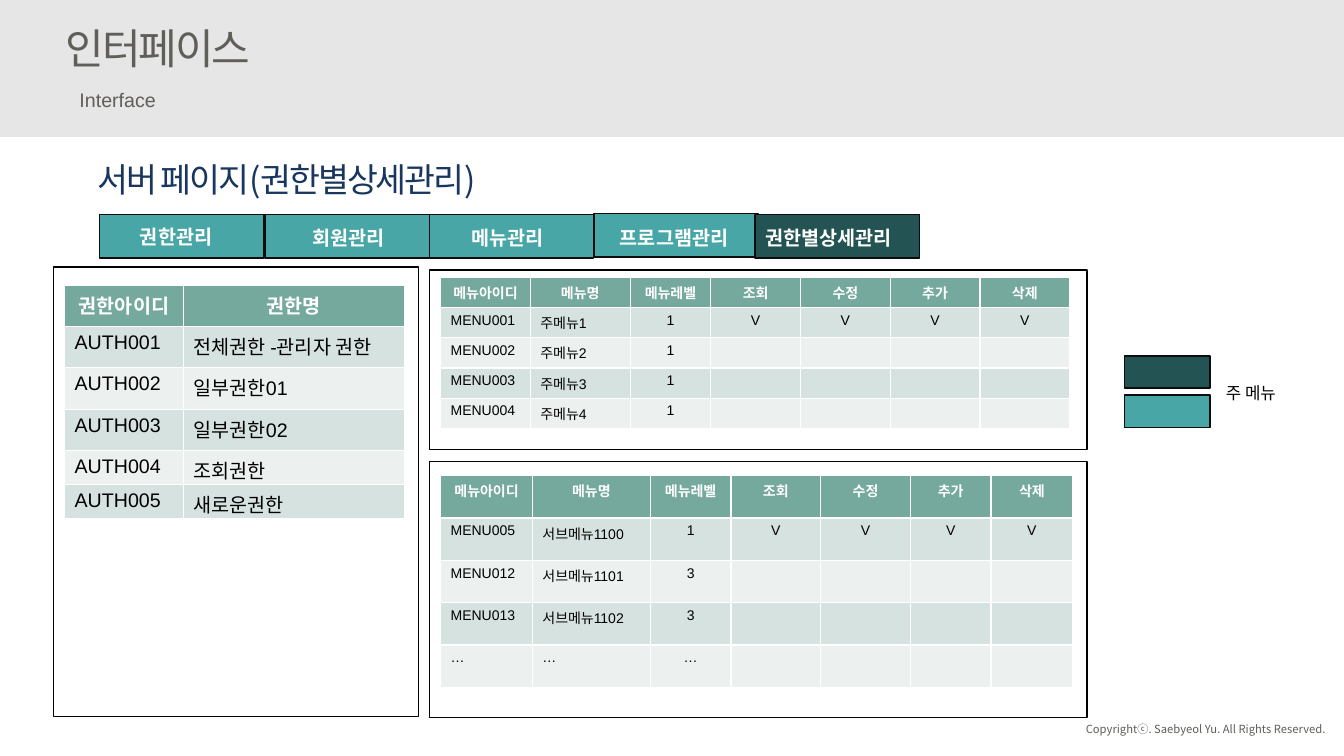
from dataclasses import dataclass

from lxml.etree import SubElement
from pptx import Presentation
from pptx.dml.color import RGBColor
from pptx.enum.shapes import MSO_SHAPE as Shape
from pptx.enum.text import MSO_ANCHOR as Anchor, MSO_AUTO_SIZE as AutoSize, PP_ALIGN as Align
from pptx.oxml.ns import qn
from pptx.util import Pt

PX = 9144


@dataclass(frozen=True)
class Theme:
    latin: str = "Arial"
    korean: str = "Noto Sans CJK KR"
    gray: str = "5F5E58"
    navy: str = "18365E"
    black: str = "000000"
    white: str = "FFFFFF"
    band: str = "E7E6E6"
    teal: str = "49A6A6"
    dark_teal: str = "245353"
    outline: str = "0D0D0D"
    header: str = "75A99E"
    odd_row: str = "D6E2DF"
    even_row: str = "ECF1F0"
    title: int = 30
    heading: int = 24
    medium: int = 14
    legend: int = 12
    small: int = 10
    footer: int = 8


THEME = Theme()

TITLE = "인터페이스"
SUBTITLE = "Interface"
HEADING = "서버 페이지(권한별상세관리)"
COPYRIGHT = "Copyrightⓒ. Saebyeol Yu. All Rights Reserved."
LEGEND = "주 메뉴"

TABS = [
    ("권한관리", (99, 213), (129, 218, 100), THEME.teal),
    ("회원관리", (263, 213), (300, 219, 100), THEME.teal),
    ("메뉴관리", (426, 213), (458, 219, 100), THEME.teal),
    ("프로그램관리", (589, 212), (605, 219, 148), THEME.teal),
    ("권한별상세관리", (749, 213), (749, 219, 173), THEME.dark_teal),
]
SWATCHES = [(353, THEME.dark_teal), (392, THEME.teal)]

MENU_HEAD = ["메뉴아이디", "메뉴명", "메뉴레벨", "조회", "수정", "추가", "삭제"]
GRANTED = ["V"] * 4
DENIED = [""] * 4
TABLES = [
    {
        "panel": (53, 265, 362, 446),
        "at": (64, 283),
        "cols": [118, 219],
        "heights": [41, 41, 41, 41, 34, 34],
        "size": THEME.medium,
        "rows": [
            ["권한아이디", "권한명"],
            ["AUTH001", "전체권한 -관리자 권한"],
            ["AUTH002", "일부권한01"],
            ["AUTH003", "일부권한02"],
            ["AUTH004", "조회권한"],
            ["AUTH005", "새로운권한"],
        ],
    },
    {
        "panel": (426, 268, 652, 178),
        "at": (437, 275),
        "cols": [89, 99, 80, 89, 89, 89, 89],
        "heights": [30] * 5,
        "size": THEME.small,
        "rows": [
            MENU_HEAD,
            ["MENU001", "주메뉴1", "1", *GRANTED],
            ["MENU002", "주메뉴2", "1", *DENIED],
            ["MENU003", "주메뉴3", "1", *DENIED],
            ["MENU004", "주메뉴4", "1", *DENIED],
        ],
    },
    {
        "panel": (426, 458, 652, 254),
        "at": (437, 472),
        "cols": [91, 117, 80, 89, 89, 80, 81],
        "heights": [42] * 5,
        "size": THEME.small,
        "rows": [
            MENU_HEAD,
            ["MENU005", "서브메뉴1100", "1", *GRANTED],
            ["MENU012", "서브메뉴1101", "3", *DENIED],
            ["MENU013", "서브메뉴1102", "3", *DENIED],
            ["…", "…", "…", *DENIED],
        ],
    },
]


def emu(*lengths):
    return [length * PX for length in lengths]


def write(frame, text, size, color, bold=False, font=THEME.latin, align=Align.LEFT, spacing=0):
    frame.text = text
    line = frame.paragraphs[0]
    line.alignment = align
    for run in line.runs:
        run.font.size = Pt(size)
        run.font.bold = bold
        run.font.color.rgb = RGBColor.from_string(color)
        run.font.name = font
        props = run.font._rPr
        SubElement(props, qn("a:ea")).set("typeface", THEME.korean)
        if spacing:
            props.set("spc", str(spacing))
    if not text:
        SubElement(line._p, qn("a:endParaRPr")).set("sz", str(size * 100))


def add_label(slide, at, text, size, color, wrap=True, **style):
    frame = slide.shapes.add_textbox(*emu(*at)).text_frame
    frame.word_wrap = wrap
    frame.vertical_anchor = Anchor.MIDDLE
    write(frame, text, size, color, **style)


def add_box(slide, at, fill=None, line=None):
    box = slide.shapes.add_shape(Shape.RECTANGLE, *emu(*at))
    box.shadow.inherit = False
    if fill:
        box.fill.solid()
        box.fill.fore_color.rgb = RGBColor.from_string(fill)
    else:
        box.fill.background()
    if line:
        box.line.color.rgb = RGBColor.from_string(line)
        box.line.width = Pt(1)
    else:
        box.line.fill.background()
    return box


def add_grid(slide, panel, at, cols, heights, size, rows):
    add_box(slide, panel, line=THEME.black)
    area = emu(*at, sum(cols), sum(heights))
    grid = slide.shapes.add_table(len(rows), len(cols), *area).table
    for column, width in zip(grid.columns, cols):
        column.width = width * PX
    for row, height in zip(grid.rows, heights):
        row.height = height * PX
    for r, row in enumerate(rows):
        head = r == 0
        fill = THEME.header if head else (THEME.even_row, THEME.odd_row)[r % 2]
        for c, text in enumerate(row):
            cell = grid.cell(r, c)
            cell.fill.solid()
            cell.fill.fore_color.rgb = RGBColor.from_string(fill)
            write(cell.text_frame, text, size, THEME.white if head else THEME.black, bold=head,
                  align=Align.CENTER if head or c > 1 else Align.LEFT)


def add_header(slide):
    band = add_box(slide, (0, 0, 1333, 136), fill=THEME.band)
    title = slide.shapes.title
    title._element.addprevious(band._element)
    title.left, title.top, title.width, title.height = emu(55, 17, 220, 61)
    frame = title.text_frame
    frame.auto_size = AutoSize.NONE
    frame.word_wrap = False
    frame.vertical_anchor = Anchor.MIDDLE
    write(frame, TITLE, THEME.title, THEME.gray, font=THEME.korean, spacing=-150)
    add_label(slide, (69, 82, 96, 34), SUBTITLE, THEME.medium, THEME.gray, wrap=False)
    add_label(slide, (87, 153, 429, 50), HEADING, THEME.heading, THEME.navy, wrap=False,
              font=THEME.korean, spacing=-150)


def main():
    deck = Presentation()
    deck.slide_width, deck.slide_height = emu(1333, 750)
    slide = deck.slides.add_slide(deck.slide_layouts[5])
    add_header(slide)
    for text, corner, (left, top, width), fill in TABS:
        add_box(slide, (*corner, 163, 43), fill, THEME.outline)
        add_label(slide, (left, top, width, 34), text, THEME.medium, THEME.white, bold=True)
    for top, fill in SWATCHES:
        add_box(slide, (1115, top, 85, 32), fill, THEME.outline)
    add_label(slide, (1206, 375, 154, 30), LEGEND, THEME.legend, THEME.black)
    for table in TABLES:
        add_grid(slide, **table)
    add_label(slide, (1062, 711, 263, 24), COPYRIGHT, THEME.footer, THEME.gray, wrap=False,
              font=THEME.korean, align=Align.RIGHT)
    deck.save("out.pptx")


if __name__ == "__main__":
    main()
